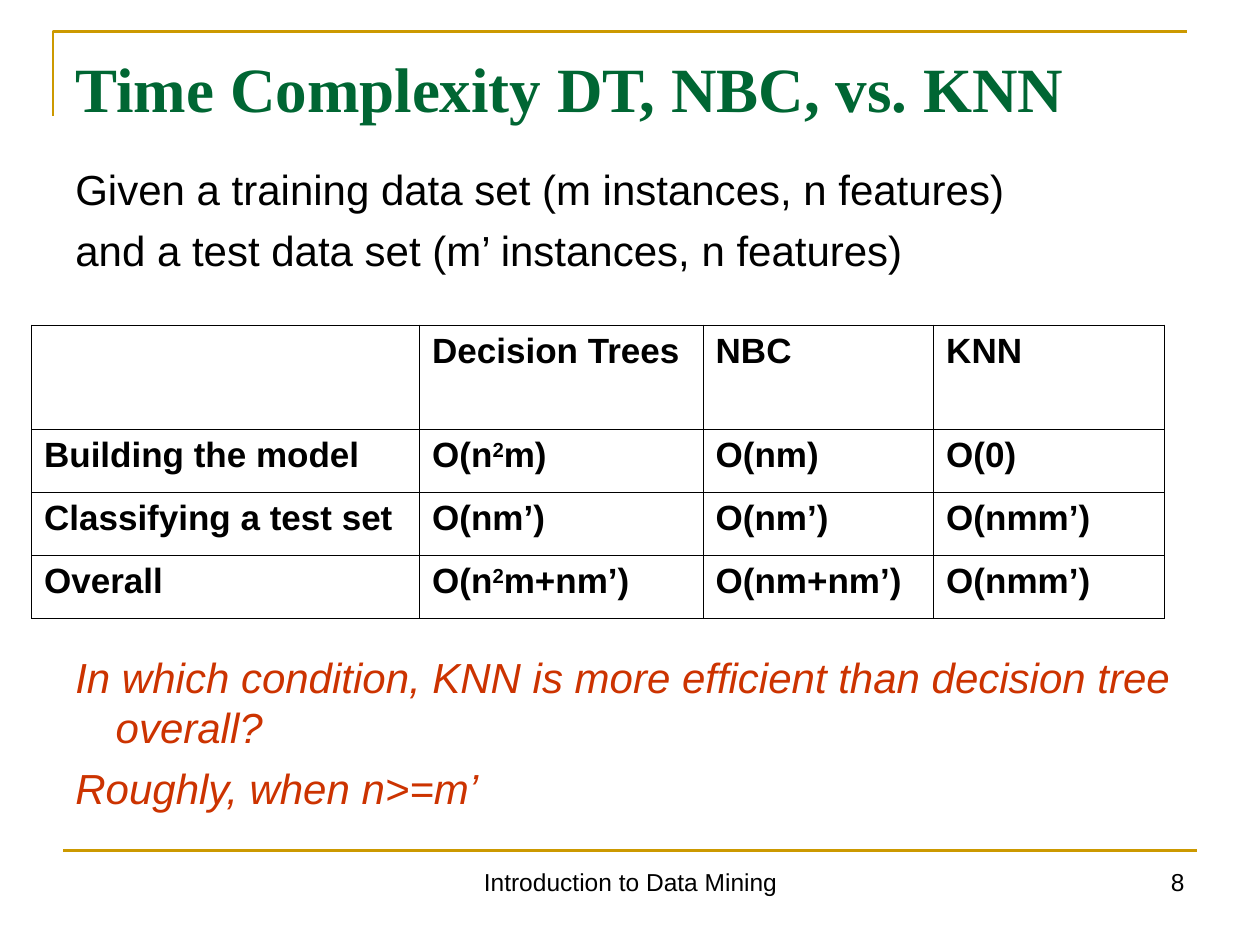
from dataclasses import dataclass

from lxml import etree
from pptx import Presentation
from pptx.dml.color import RGBColor
from pptx.enum.shapes import MSO_CONNECTOR
from pptx.enum.text import MSO_ANCHOR, PP_ALIGN
from pptx.oxml.ns import qn
from pptx.util import Inches, Pt

STRAIGHT = MSO_CONNECTOR.STRAIGHT
LEFT, CENTER, RIGHT = PP_ALIGN.LEFT, PP_ALIGN.CENTER, PP_ALIGN.RIGHT
TOP, MIDDLE = MSO_ANCHOR.TOP, MSO_ANCHOR.MIDDLE
TITLE_ONLY = 5


@dataclass(frozen=True)
class Theme:
    heading_font: str = "Times New Roman"
    text_font: str = "Arial"
    green: str = "006633"
    gold: str = "CC9900"
    red: str = "CC3300"
    black: str = "000000"
    title_size: float = 36
    body_size: float = 24
    table_size: float = 20
    footer_size: float = 14
    rule_width: float = 1.5
    border_width: float = 0.45


THEME = Theme()
STATEMENTS = (
    ("Given a training data set (m instances, n features)", THEME.black, 6),
    ("and a test data set (m’ instances, n features)", THEME.black, 6),
    ("In which condition, KNN is more efficient than decision tree overall?", THEME.red, 215),
    ("Roughly, when n>=m’", THEME.red, 6),
)
COMPLEXITIES = (
    ("", "Decision Trees", "NBC", "KNN"),
    ("Building the model", "O(n^2^m)", "O(nm)", "O(0)"),
    ("Classifying a test set", "O(nm’)", "O(nm’)", "O(nmm’)"),
    ("Overall", "O(n^2^m+nm’)", "O(nm+nm’)", "O(nmm’)"),
)
COLUMN_WIDTHS = (3.08, 2.25, 1.83, 1.83)
ROW_HEIGHTS = (0.83, 0.5, 0.5, 0.5)


def add_span(para, text, size, color, font=THEME.text_font, bold=False, italic=False):
    span = para.add_run()
    span.text = text
    span.font.name = font
    span.font.size = Pt(size)
    span.font.bold = bold
    span.font.italic = italic
    span.font.color.rgb = RGBColor.from_string(color)
    return span


def add_box(page, left, top, width, height):
    box = page.shapes.add_textbox(*map(Inches, (left, top, width, height)))
    box.text_frame.word_wrap = True
    box.text_frame.vertical_anchor = TOP
    return box


def style_rule(line):
    line.color.rgb = RGBColor.from_string(THEME.gold)
    line.width = Pt(THEME.rule_width)


def add_corner_rule(page, left, top, right, bottom):
    builder = page.shapes.build_freeform(Inches(left), Inches(bottom))
    builder.add_line_segments(
        [(Inches(left), Inches(top)), (Inches(right), Inches(top))], close=False
    )
    corner = builder.convert_to_shape()
    corner.shadow.inherit = False
    corner.fill.background()
    style_rule(corner.line)


def add_footer_rule(page, left, right, height):
    rule = page.shapes.add_connector(STRAIGHT, *map(Inches, (left, height, right, height)))
    style_rule(rule.line)
    etree.SubElement(rule._element.spPr, qn("a:effectLst"))


def add_footer(page, text, left, width, alignment):
    para = add_box(page, left, 6.83, width, 0.52).text_frame.paragraphs[0]
    para.alignment = alignment
    add_span(para, text, THEME.footer_size, THEME.black)


def set_title(page, text):
    title = page.shapes.title
    title.left, title.top, title.width, title.height = map(Inches, (0.5, 0.3, 9, 0.78))
    title.text_frame.vertical_anchor = MIDDLE
    para = title.text_frame.paragraphs[0]
    para.alignment = LEFT
    add_span(para, text, THEME.title_size, THEME.green, THEME.heading_font, bold=True)


def add_statements(page):
    frame = add_box(page, 0.5, 1.25, 9.33, 5.45).text_frame
    for index, (text, color, gap) in enumerate(STATEMENTS):
        para = frame.add_paragraph() if index else frame.paragraphs[0]
        para.space_before = Pt(gap)
        properties = para._p.get_or_add_pPr()
        properties.set("marL", str(Inches(0.32)))
        properties.set("indent", str(-Inches(0.32)))
        add_span(para, text, THEME.body_size, color, italic=color == THEME.red)


def set_borders(cell):
    properties = cell._tc.get_or_add_tcPr()
    for index, side in enumerate(("lnL", "lnR", "lnT", "lnB")):
        border = etree.Element(qn(f"a:{side}"), w=str(Pt(THEME.border_width)))
        fill = etree.SubElement(border, qn("a:solidFill"))
        etree.SubElement(fill, qn("a:srgbClr"), val=THEME.black)
        properties.insert(index, border)


def fill_cell(cell, text):
    cell.fill.background()
    set_borders(cell)
    para = cell.text_frame.paragraphs[0]
    para.space_before = Pt(5)
    for index, part in enumerate(text.split("^") if text else ()):
        span = add_span(para, part, THEME.table_size, THEME.black, bold=True)
        if index % 2:
            span._r.get_or_add_rPr().set("baseline", "30000")


def add_complexity_table(page):
    table = page.shapes.add_table(
        len(ROW_HEIGHTS), len(COLUMN_WIDTHS), Inches(0.25), Inches(2.58),
        Inches(sum(COLUMN_WIDTHS)), Inches(sum(ROW_HEIGHTS)),
    ).table
    table.first_row = False
    table.horz_banding = False
    for column, width in zip(table.columns, COLUMN_WIDTHS):
        column.width = Inches(width)
    for row, height, texts in zip(table.rows, ROW_HEIGHTS, COMPLEXITIES):
        row.height = Inches(height)
        for cell, text in zip(row.cells, texts):
            fill_cell(cell, text)


def main():
    deck = Presentation()
    deck.slide_width, deck.slide_height = Inches(10), Inches(7.5)
    page = deck.slides.add_slide(deck.slide_layouts[TITLE_ONLY])
    add_corner_rule(page, 0.42, 0.25, 9.42, 0.92)
    add_footer_rule(page, 0.5, 9.5, 6.75)
    add_footer(page, "Introduction to Data Mining", 3.42, 3.17, CENTER)
    add_footer(page, "8", 7.17, 2.33, RIGHT)
    set_title(page, "Time Complexity DT, NBC, vs. KNN")
    add_statements(page)
    add_complexity_table(page)
    deck.save("out.pptx")


if __name__ == "__main__":
    main()
